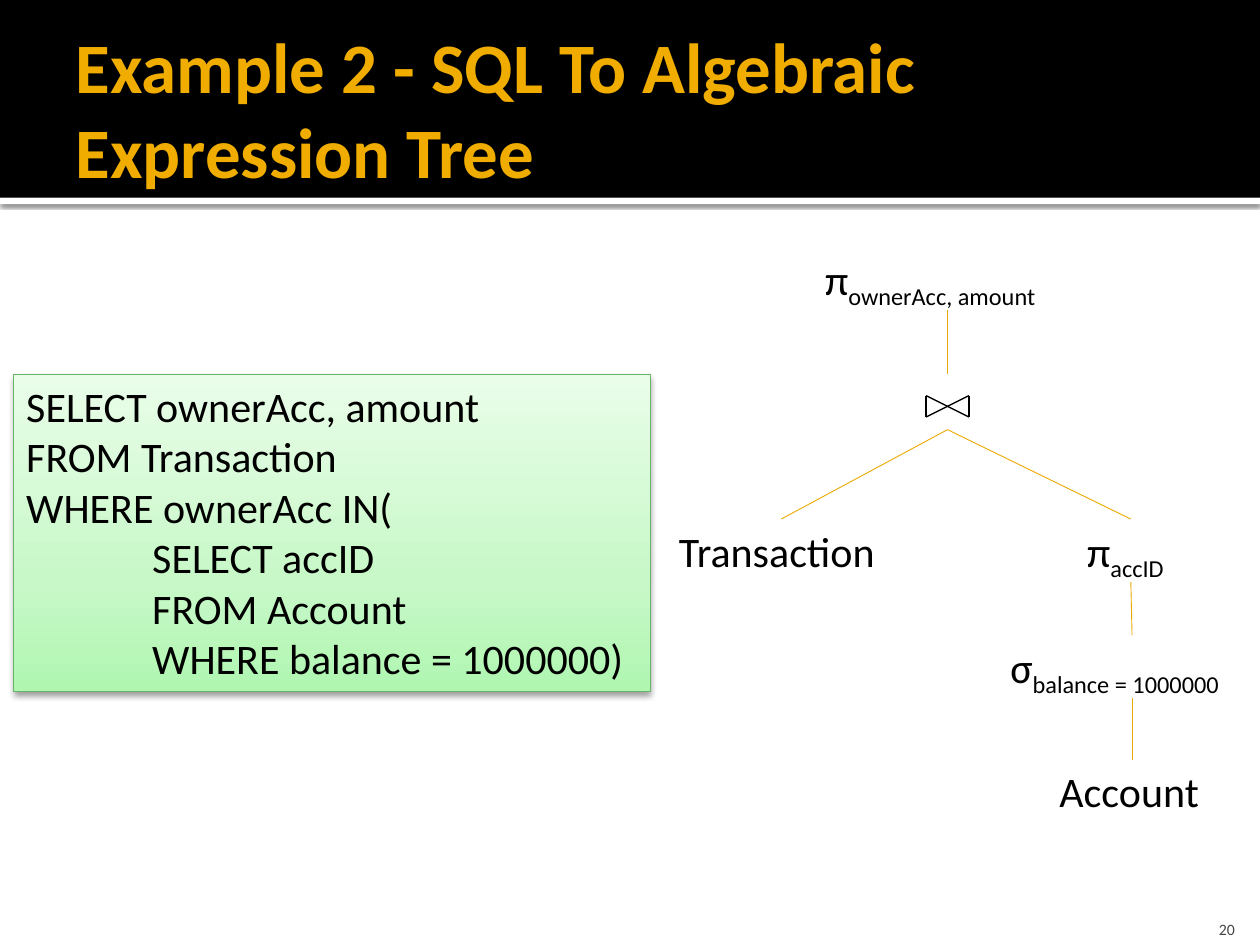
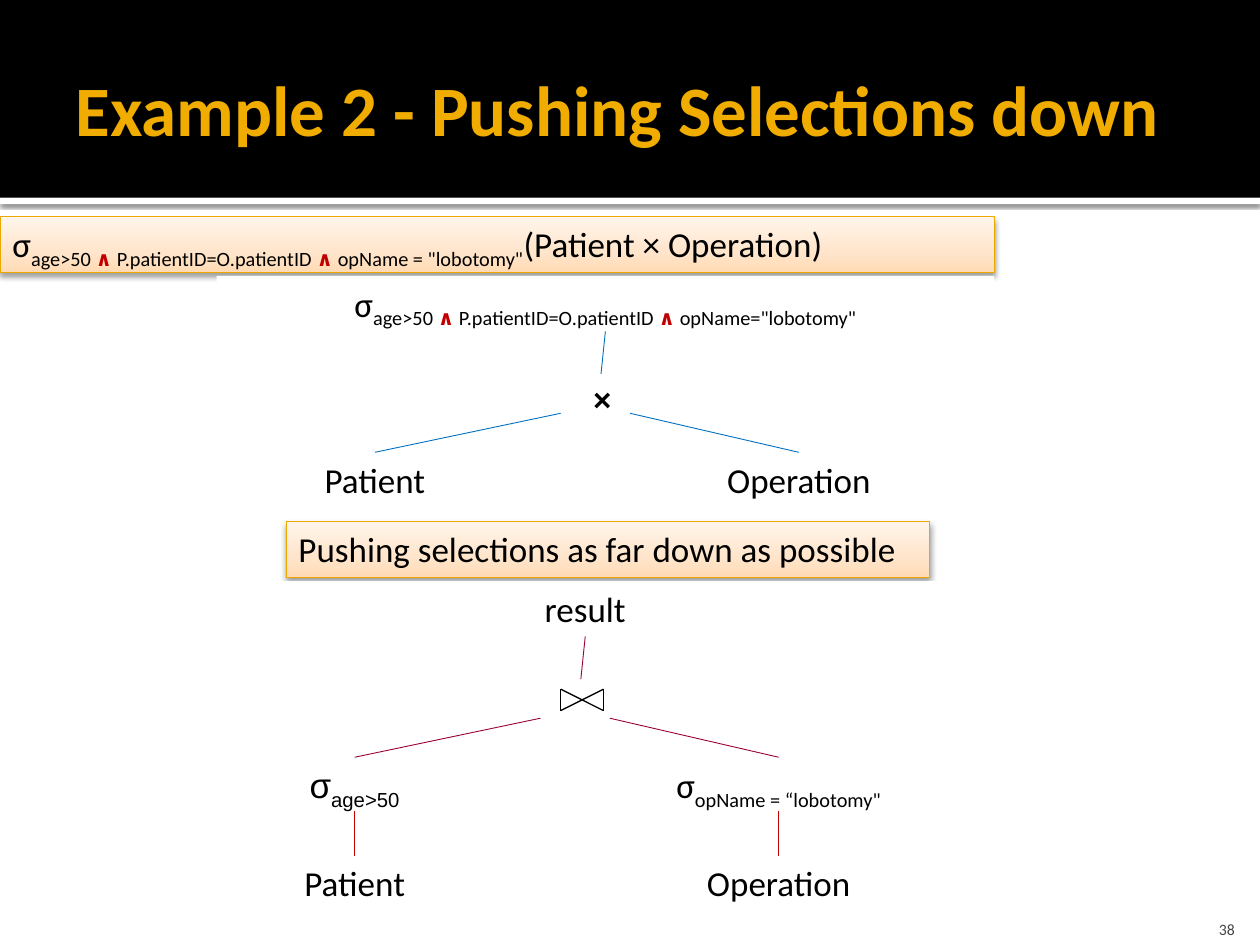
import copy

import lxml.etree
import pptx
import pptx.dml.color
import pptx.enum.shapes
import pptx.enum.text
import pptx.oxml
import pptx.oxml.ns
import pptx.util

Inches = pptx.util.Inches
Pt = pptx.util.Pt
hex_color = pptx.dml.color.RGBColor.from_string
ALIGN = pptx.enum.text.PP_ALIGN
ANCHOR = pptx.enum.text.MSO_ANCHOR

BLACK, WHITE, GOLD, RED = "000000", "FFFFFF", "F0AD00", "C00000"
EDGE_GOLD, EDGE_BLUE, EDGE_WINE = "EBA900", "0070C0", "990033"
GREEN_FADE = ["B0F6B1", "C8F8C8", "E9FDE9"]
ORANGE_FADE = ["FFDBB5", "FFE5CB", "FFF5EB"]
PANEL_SHADOW = (38, 3.5, 2)


def add_box(page, place, lines=(), size=20, fill=None, outline=None, shadow=None,
            align=ALIGN.LEFT, wrap=True, font="Calibri", color=BLACK):
    """Add a rectangle; lines hold (text, kind) spans, kind being "", "sub" or "and".

    fill is one colour or three gradient colours; shadow is (opacity %, blur pt, offset pt).
    """
    box = page.shapes.add_shape(pptx.enum.shapes.MSO_SHAPE.RECTANGLE, *map(Inches, place))
    box.shadow.inherit = False
    if fill is None:
        box.fill.background()
    elif isinstance(fill, str):
        box.fill.solid()
        box.fill.fore_color.rgb = hex_color(fill)
    else:
        box.fill.gradient()
        box.fill.gradient_angle = 90
        stop_list = box.fill.gradient_stops[0]._gs.getparent()
        stop_list.append(copy.deepcopy(stop_list[-1]))
        for stop, position, shade in zip(box.fill.gradient_stops, (0, 0.35, 1), fill):
            stop.position = position
            stop.color.rgb = hex_color(shade)
    if outline:
        box.line.color.rgb = hex_color(outline)
        box.line.width = Pt(0.5)
    else:
        box.line.fill.background()
    if shadow:
        opacity, blur, offset = shadow
        effects = box._element.spPr.find(pptx.oxml.ns.qn("a:effectLst"))
        effects.append(pptx.oxml.parse_xml(
            f'<a:outerShdw {pptx.oxml.ns.nsdecls("a")} blurRad="{Pt(blur)}" dist="{Pt(offset)}" '
            f'dir="5400000" rotWithShape="0"><a:srgbClr val="000000">'
            f'<a:alpha val="{opacity * 1000}"/></a:srgbClr></a:outerShdw>'))

    frame = box.text_frame
    frame.word_wrap = wrap
    frame.vertical_anchor = ANCHOR.TOP
    for index, spans in enumerate(lines):
        para = frame.add_paragraph() if index else frame.paragraphs[0]
        para.alignment = align
        para.font.name = font
        para.font.size = Pt(size)
        para.font.color.rgb = hex_color(color)
        for text, kind in spans:
            span = para.add_run()
            span.text = text
            if kind:
                span.font._element.set("baseline", "-25000")
            if kind == "and":
                span.font.bold = True
                span.font.color.rgb = hex_color(RED)
    return box


def add_line(page, start, end, color, width=0.5):
    """Draw a line; each end is a point, or a box to leave at its bottom or enter at its top."""
    points = [end_point if isinstance(end_point, tuple) else (0, 0) for end_point in (start, end)]
    line = page.shapes.add_connector(pptx.enum.shapes.MSO_CONNECTOR.STRAIGHT,
                                     *(Inches(value) for point in points for value in point))
    if not isinstance(start, tuple):
        line.begin_connect(start, 2)
    if not isinstance(end, tuple):
        line.end_connect(end, 0)
    line.line.color.rgb = hex_color(color)
    line.line.width = Pt(width)
    lxml.etree.SubElement(line._element.spPr, pptx.oxml.ns.qn("a:effectLst"))


deck = pptx.Presentation()
deck.slide_width = Inches(10)
deck.slide_height = Inches(7.5)

# Shared title band and page number
for heading, number in [("Example 2 - SQL To Algebraic Expression Tree", "20"),
                        ("Example 2 - Pushing Selections down", "38")]:
    page = deck.slides.add_slide(deck.slide_layouts[5])
    stripe = add_box(page, (0, 1.57, 10, 0.05), fill=WHITE, shadow=(60, 2.5, 0.8))
    band = add_box(page, (0, 0, 10, 1.57), fill=BLACK)

    title = page.shapes.title
    band._element.addnext(title._element)
    title.left, title.top, title.width, title.height = map(Inches, (0.5, 0.17, 9, 1.37))
    frame = title.text_frame
    frame.text = heading
    frame.word_wrap = True
    frame.auto_size = pptx.enum.text.MSO_AUTO_SIZE.NONE
    frame.vertical_anchor = ANCHOR.MIDDLE
    frame.margin_left = Inches(0.1)
    frame.margin_top = frame.margin_right = frame.margin_bottom = Inches(0.05)
    para = frame.paragraphs[0]
    para.alignment = ALIGN.LEFT
    para.font.name = "Calibri"
    para.font.size = Pt(40.5)
    para.font.bold = True
    para.font.color.rgb = hex_color(GOLD)

    footer = add_box(page, (9.1, 7.15, 0.8, 0.3), [[(number, "")]], size=9,
                     align=ALIGN.RIGHT, color="454545")
    footer.text_frame.vertical_anchor = ANCHOR.BOTTOM
    footer.text_frame.margin_bottom = 0

sql_page, pushing_page = deck.slides

# SQL query and its expression tree
nodes = {}
for name, left, top, width, spans in [
    ("root", 6.45, 1.96, 2.14, [("π", ""), ("ownerAcc, amount", "sub")]),
    ("transaction", 5.29, 4.12, 1.82, [("Transaction", "")]),
    ("project", 8.53, 4.12, 0.89, [("π", ""), ("accID", "sub")]),
    ("select", 7.92, 5.04, 2.13, [("σ", ""), ("balance = 1000000", "sub")]),
    ("account", 8.31, 6.03, 1.35, [("Account", "")]),
]:
    nodes[name] = add_box(sql_page, (left, top, width, 0.5), [spans], size=24,
                          fill=WHITE, wrap=False)
nodes["join"] = add_box(sql_page, (7.18, 2.97, 0.68, 0.44), fill=WHITE)
for parent, child in [("root", "join"), ("join", "transaction"), ("join", "project"),
                      ("project", "select"), ("select", "account")]:
    add_line(sql_page, nodes[parent], nodes[child], EDGE_GOLD)

query = ["SELECT ownerAcc, amount", "FROM Transaction", "WHERE ownerAcc IN(",
         "SELECT accID", "FROM Account", "WHERE balance = 1000000)"]
query_box = add_box(sql_page, (0.11, 2.97, 5.05, 2.52), [[(text, "")] for text in query], size=24,
                    fill=GREEN_FADE, outline="67B569", shadow=PANEL_SHADOW, wrap=False)
for para in query_box.text_frame.paragraphs[3:]:
    properties = para._p.get_or_add_pPr()
    properties.set("marL", str(Inches(1)))
    properties.set("indent", "0")

# Pushing selections down: formula, tree before, tree after
condition = [("σ", ""), ("age>50 ", "sub"), ("∧ ", "and"),
             ("P.patientID=O.patientID ", "sub"), ("∧ ", "and")]
formula = condition + [('opName = "lobotomy"', "sub"), ("(Patient × Operation)", "")]
for place, spans, wrap in [
    ((2.27, 4.14, 5.11, 0.44), [("Pushing selections as far down as possible", "")], False),
    ((0, 1.72, 7.89, 0.44), formula, True),
]:
    add_box(pushing_page, place, [spans], fill=ORANGE_FADE, outline=EDGE_GOLD,
            shadow=PANEL_SHADOW, wrap=wrap)

PATIENT, OPERATION = [("Patient", "")], [("Operation", "")]
age_filter = [("σ", ""), ("age>50", "sub")]
name_filter = [("σ", ""), ('opName = “lobotomy"', "sub")]
for left, top, root_spans, leaves, color in [
    (1.72, 2.19, condition + [('opName="lobotomy"', "sub")],
     [[PATIENT], [OPERATION]], EDGE_BLUE),
    (1.56, 4.61, [("result", "")],
     [[age_filter, PATIENT], [name_filter, OPERATION]], EDGE_WINE),
]:
    root = add_box(pushing_page, (left, top, 6.17, 0.44), [root_spans], fill=WHITE,
                   align=ALIGN.CENTER)
    add_line(pushing_page, root, (left + 3.05, top + 0.78), color)
    for branch, offset, width, start in zip(leaves, (0.47, 3.36), (1.57, 2.52), (2.73, 3.28)):
        parent, edge = (left + start, top + 1.09), color
        for depth, spans in enumerate(branch):
            leaf = add_box(pushing_page, (left + offset, top + 1.4 + 0.78 * depth, width, 0.43),
                           [spans], align=ALIGN.CENTER,
                           font="Arial" if spans is age_filter else "Calibri")
            add_line(pushing_page, parent, leaf, edge)
            parent, edge = leaf, RED

product = add_box(pushing_page, (4.61, 2.97, 0.34, 0.4), [[("×", "")]], size=18,
                  wrap=False, font="Arial")
product.text_frame.paragraphs[0].font.bold = True

# Join symbols
for page, left, top in [(sql_page, 7.35, 3.14), (pushing_page, 4.45, 5.47)]:
    right, bottom = left + 0.34, top + 0.17
    for start, end in [((left, top), (left, bottom)), ((right, top), (right, bottom)),
                       ((left, top), (right, bottom)), ((left, bottom), (right, top))]:
        add_line(page, start, end, BLACK, 0.75)

deck.save("out.pptx")
